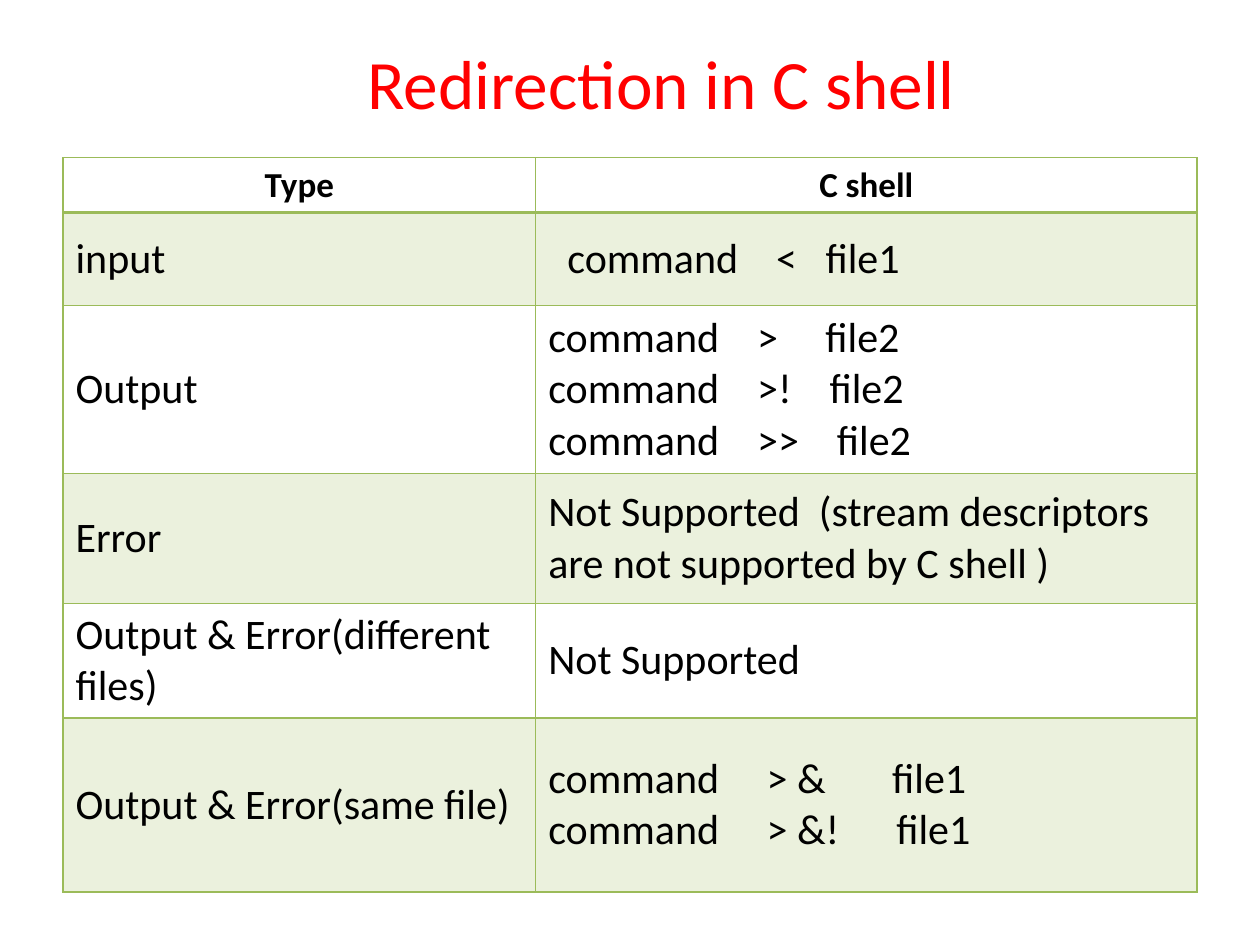
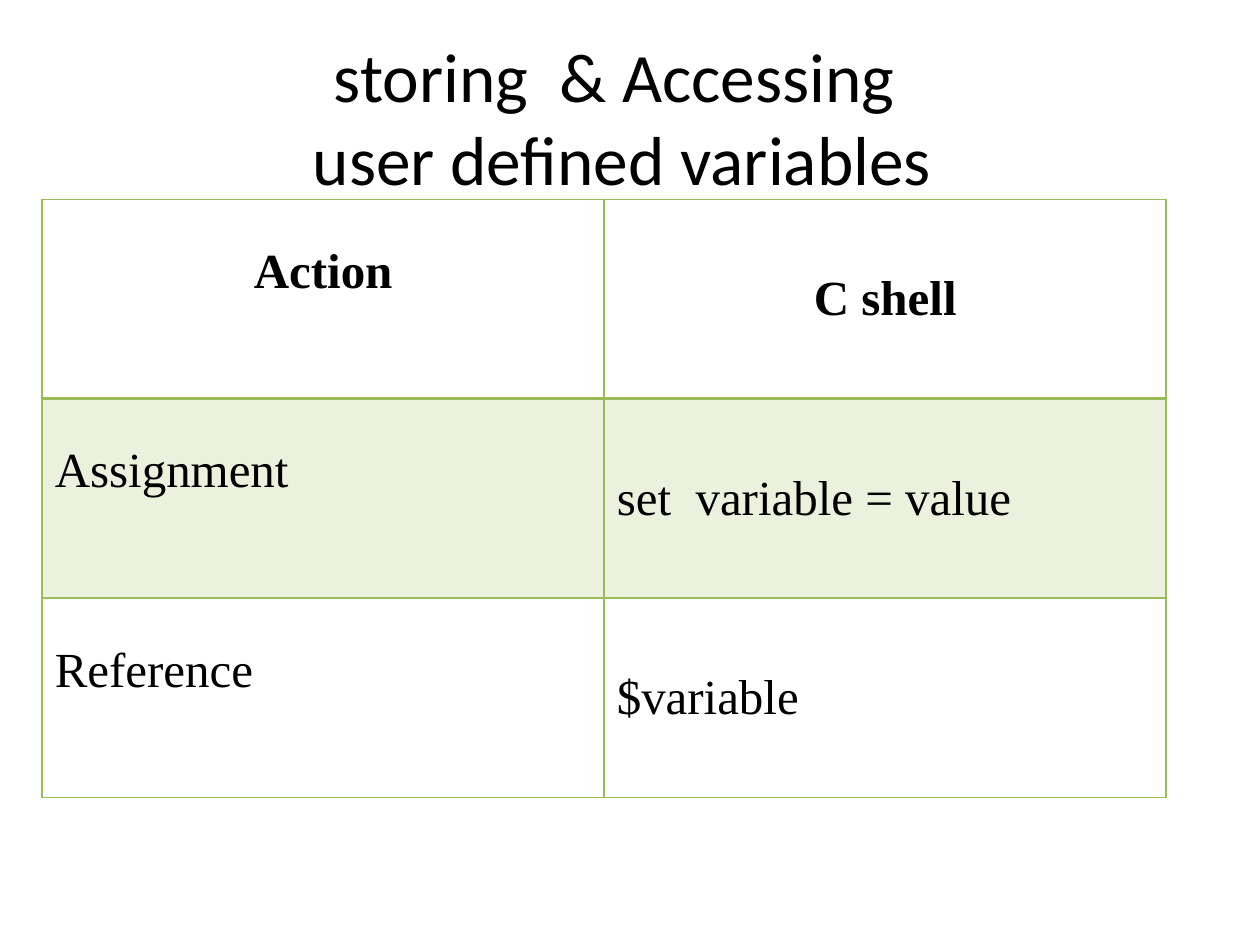
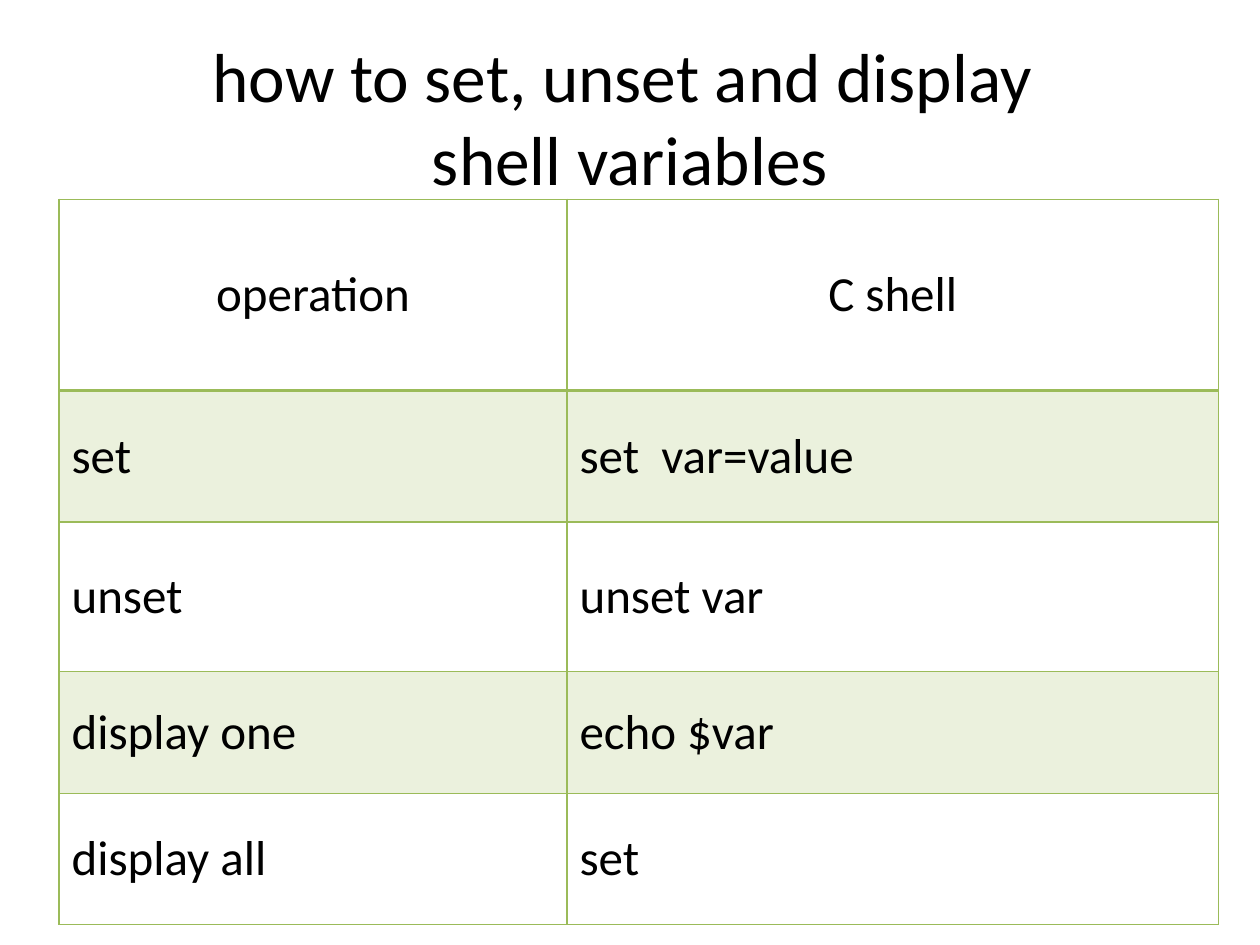
"""Build three slides of C shell reference tables."""
from lxml import etree
from pptx import Presentation
from pptx.dml.color import RGBColor
from pptx.enum.text import MSO_ANCHOR, PP_ALIGN
from pptx.oxml.ns import qn
from pptx.util import Cm, Pt

MIDDLE = MSO_ANCHOR.MIDDLE
CENTER = PP_ALIGN.CENTER
LEFT = PP_ALIGN.LEFT

COLORS = {"text": "000000", "accent": "9BBB59", "highlight": "FF0000"}
BODY_FONT = "Calibri"
SERIF_FONT = "Times New Roman"
TITLE_SIZE = 39.6
TITLE_BOX = (1.27, 0.76, 22.86, 3.18)
NO_TABLE_STYLE = "{2D5ABB26-0587-4C30-8999-92F81FD0307C}"
BAND_ALPHA = 20
THIN, THICK = 1, 2

REDIRECTION = [
    ("Type", "C shell"),
    ("input", "  command    <   file1"),
    ("Output", "command    >     file2\ncommand    >!    file2\ncommand    >>    file2"),
    ("Error", "Not Supported  (stream descriptors are not supported by C shell )"),
    ("Output & Error(different files)", "Not Supported"),
    ("Output & Error(same file)", "command     > &       file1\ncommand     > &!      file1"),
]
USER_VARIABLES = [
    ("Action", "C shell"),
    ("Assignment", "set  variable = value"),
    ("Reference", "$variable"),
]
SHELL_VARIABLES = [
    ("operation", "C shell"),
    ("set", "set  var=value"),
    ("unset", "unset var"),
    ("display one", "echo $var"),
    ("display all", "set"),
]


def format_text(text_frame, size, font=BODY_FONT, color="text", bold=False, align=LEFT):
    """Give every paragraph and run of a text frame one style."""
    for paragraph in text_frame.paragraphs:
        paragraph.alignment = align
        for run in paragraph.runs:
            run.font.size = Pt(size)
            run.font.name = font
            run.font.bold = bold
            run.font.color.rgb = RGBColor.from_string(COLORS[color])


def add_title(slide, text, box=TITLE_BOX, color="text"):
    """Add a centred title."""
    shape = slide.shapes.add_textbox(*map(Cm, box))
    text_frame = shape.text_frame
    text_frame.word_wrap = True
    text_frame.vertical_anchor = MIDDLE
    text_frame.text = text
    format_text(text_frame, TITLE_SIZE, color=color, align=CENTER)


def set_borders(cell, top, bottom):
    """Draw the four accent borders of a cell, with widths in points."""
    properties = cell._tc.get_or_add_tcPr()
    for side, width in (("L", THIN), ("R", THIN), ("T", top), ("B", bottom)):
        line = etree.SubElement(properties, qn(f"a:ln{side}"), w=str(Pt(width)))
        fill = etree.SubElement(line, qn("a:solidFill"))
        etree.SubElement(fill, qn("a:srgbClr"), val=COLORS["accent"])


def fill_band(cell):
    """Fill a cell with the translucent accent colour."""
    cell.fill.solid()
    cell.fill.fore_color.rgb = RGBColor.from_string(COLORS["accent"])
    color = cell._tc.tcPr.find(qn("a:solidFill")).find(qn("a:srgbClr"))
    etree.SubElement(color, qn("a:alpha"), val=str(BAND_ALPHA * 1000))


def add_grid(slide, left, top, widths, heights, rows, size, header_size=None,
             header_bold=True, font=BODY_FONT):
    """Add a banded table with a heavy rule under its header and return it."""
    frame = slide.shapes.add_table(len(rows), len(widths), Cm(left), Cm(top),
                                   Cm(sum(widths)), Cm(sum(heights)))
    table = frame.table
    next(table._tbl.iter(qn("a:tableStyleId"))).text = NO_TABLE_STYLE
    table.first_row = header_bold
    for column, width in zip(table.columns, widths):
        column.width = Cm(width)
    for index, (row, height, texts) in enumerate(zip(table.rows, heights, rows)):
        row.height = Cm(height)
        header = index == 0
        for cell, text in zip(row.cells, texts):
            cell.text_frame.text = text
            cell.vertical_anchor = MIDDLE
            format_text(cell.text_frame, header_size or size if header else size, font,
                        bold=header and header_bold, align=CENTER if header else LEFT)
            set_borders(cell, THICK if index == 1 else THIN, THICK if header else THIN)
            if index % 2:
                fill_band(cell)
    return table


def add_redirection_slide(slide):
    """Show the redirection operators."""
    add_title(slide, "Redirection in C shell", (2.54, 0.76, 21.59, 1.78), "highlight")
    add_grid(slide, 1.27, 3.18, (9.53, 13.33), (1.1, 1.88, 3.38, 2.62, 2.31, 3.51),
             REDIRECTION, 24, header_size=20)


def add_user_variables_slide(slide):
    """Show how user defined variables are stored and read."""
    add_title(slide, "storing  & Accessing  \vuser defined variables ")
    table = add_grid(slide, 0.85, 4.02, (11.33,) * 2, (4.02,) * 3,
                     USER_VARIABLES, 28, font=SERIF_FONT)
    for row in table.rows:
        row.cells[0].margin_bottom = Cm(1.22)


def add_shell_variables_slide(slide):
    """Show how shell variables are set, unset and displayed."""
    add_title(slide, "how to set, unset and display \vshell variables")
    add_grid(slide, 1.19, 4.02, (10.24, 13.13), (3.86, 2.64, 3.02, 2.46, 2.64),
             SHELL_VARIABLES, 28, header_bold=False)


def main():
    """Build and save the presentation."""
    presentation = Presentation()
    presentation.slide_width, presentation.slide_height = Cm(25.4), Cm(19.05)
    blank_layout = presentation.slide_layouts[6]
    for build in (add_redirection_slide, add_user_variables_slide, add_shell_variables_slide):
        build(presentation.slides.add_slide(blank_layout))
    presentation.save("out.pptx")


main()
